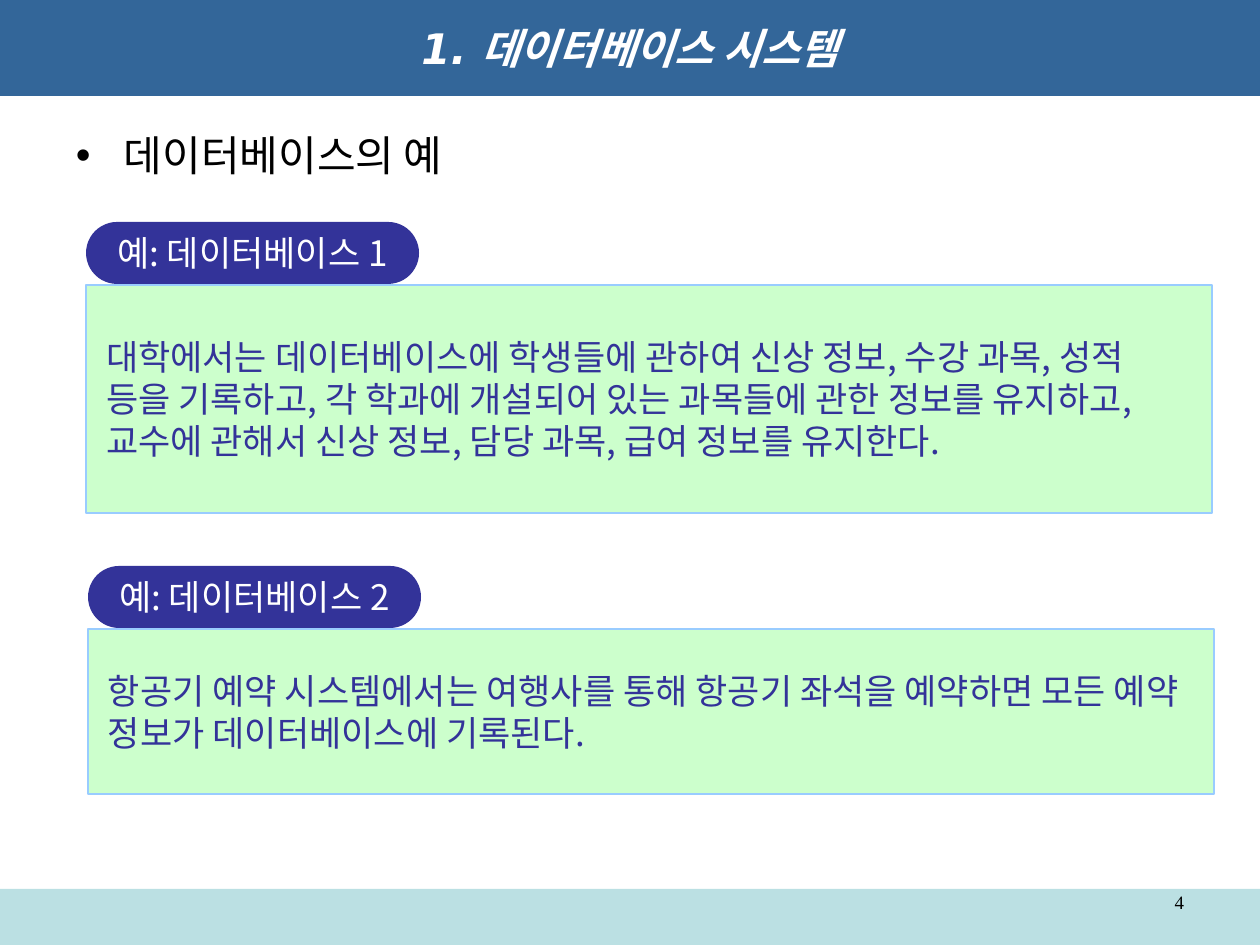
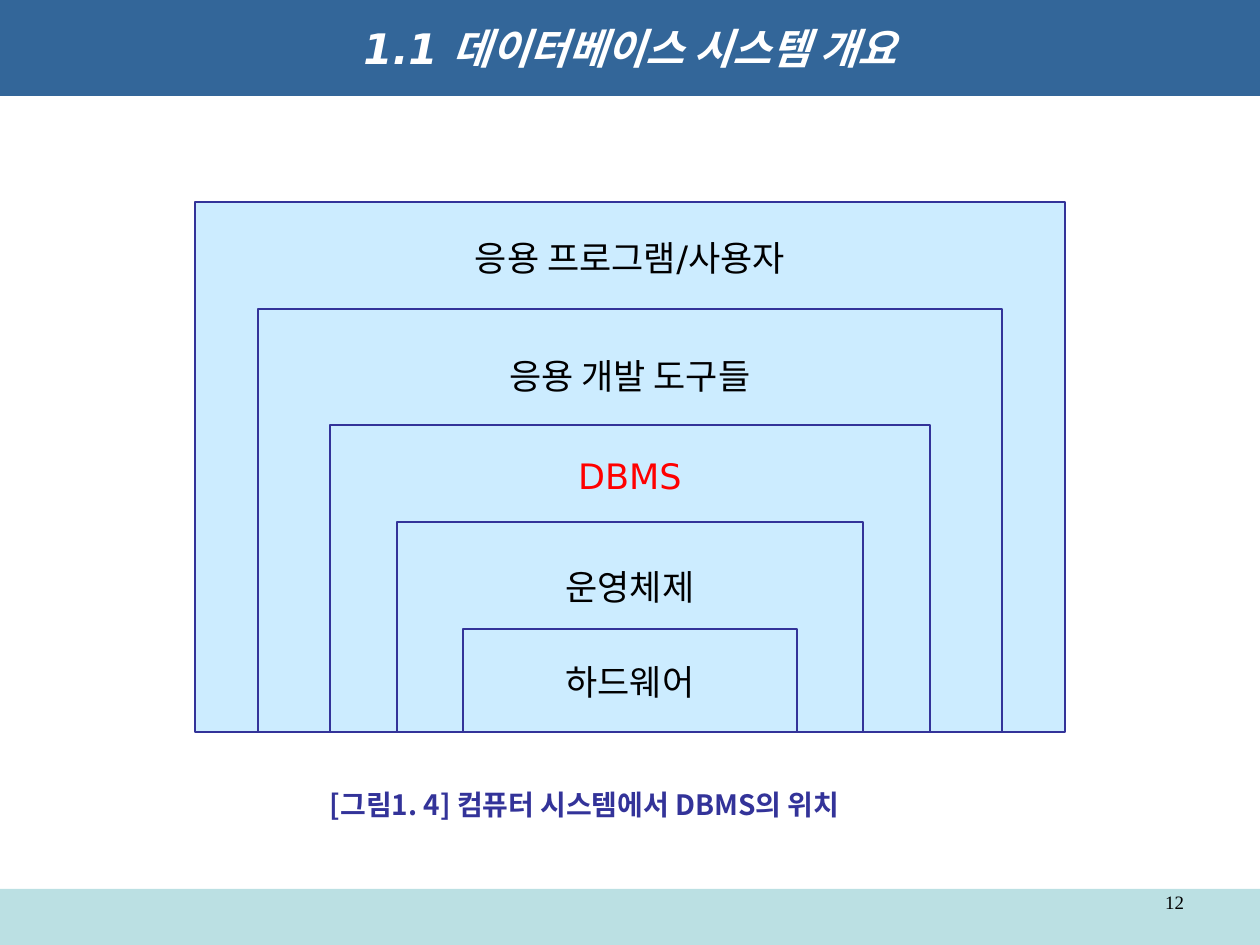
from pptx import Presentation
from pptx import util as u
from pptx.dml.color import RGBColor
from pptx.enum import shapes, text
from pptx.oxml.ns import qn
from lxml import etree

PX = 914400 / 126
SLIDE_W, SLIDE_H = 1260, 945
KOREAN = "Noto Sans CJK KR"
SANS = "DejaVu Sans"
COLORS = {
    "title_band": "336699", "footer_band": "BBE0E3", "navy": "333399",
    "mint": "CCFFCC", "mint_edge": "99CCFF", "layer": "CCECFF",
    "red": "FF0000", "black": "000000", "white": "FFFFFF",
}
ALIGN = text.PP_ALIGN
ANCHOR = text.MSO_ANCHOR
SHAPE = shapes.MSO_SHAPE


def px(n):
    return u.Emu(round(n * PX))


def rgb(name):
    return RGBColor.from_string(COLORS[name])


def add_block(s, kind, box, fill, line=None, line_pt=1):
    """Filled preset shape, with an outline only when a line colour is given."""
    sp = s.shapes.add_shape(kind, *map(px, box))
    sp.shadow.inherit = False
    sp.fill.solid()
    sp.fill.fore_color.rgb = rgb(fill)
    if line:
        sp.line.color.rgb = rgb(line)
        sp.line.width = u.Pt(line_pt)
    else:
        sp.line.fill.background()
    return sp


def add_text_box(s, box):
    return s.shapes.add_textbox(*map(px, box))


def set_text(sp, words, size, color, font=KOREAN, align=ALIGN.LEFT,
             anchor=ANCHOR.MIDDLE, margins=(13, 6, 13, 6), wrap=True,
             spacing=None, bold=False, italic=False):
    """Write one paragraph; margins are left, top, right, bottom in px."""
    tf = sp.text_frame
    tf.word_wrap = wrap
    tf.vertical_anchor = anchor
    tf.margin_left, tf.margin_top, tf.margin_right, tf.margin_bottom = map(px, margins)
    tf.text = words
    p = tf.paragraphs[0]
    p.alignment = align
    if spacing:
        p.line_spacing = spacing
    r = p.runs[0]
    r.font.size = u.Pt(size)
    r.font.name = font
    r.font.bold = bold
    r.font.italic = italic
    r.font.color.rgb = rgb(color)
    # East Asian glyphs use the Korean face
    ea = etree.Element(qn("a:ea"), typeface=KOREAN)
    r.font._element.find(qn("a:latin")).addnext(ea)
    return p


def add_base_slide(prs, title, number):
    """Blank slide with title band, footer band and page number."""
    s = prs.slides.add_slide(prs.slide_layouts[6])
    add_block(s, SHAPE.RECTANGLE, (0, 889, SLIDE_W, 56), "footer_band")
    page = add_text_box(s, (903, 889, 294, 37))
    set_text(page, str(number), 10.8, "black", "Times New Roman", ALIGN.RIGHT,
             ANCHOR.TOP, spacing=0.8)
    band = add_block(s, SHAPE.RECTANGLE, (0, 0, SLIDE_W, 96), "title_band")
    set_text(band, title, 24, "white", SANS, ALIGN.CENTER, bold=True, italic=True)
    return s


def add_bullet(s, words):
    sp = add_text_box(s, (63, 123, 1134, 63))
    p = set_text(sp, words, 24, "black", "Arial", anchor=ANCHOR.TOP,
                 spacing=u.Pt(29))
    pPr = p._p.get_or_add_pPr()
    pPr.set("marL", str(px(48)))
    pPr.set("indent", str(-px(48)))
    etree.SubElement(pPr, qn("a:buFont"), typeface="Arial")
    etree.SubElement(pPr, qn("a:buChar"), char="•")


def add_example(s, left, top, height, label, words):
    """Rounded label sitting on top of a mint panel."""
    panel = add_block(s, SHAPE.RECTANGLE, (left, top + 63, 1126, height),
                      "mint", "mint_edge")
    set_text(panel, words, 20, "navy", margins=(20,) * 4, spacing=u.Pt(24))
    pill = add_block(s, SHAPE.ROUNDED_RECTANGLE, (left, top, 333, 62), "navy")
    pill.adjustments[0] = 0.5
    set_text(pill, label, 20, "white", align=ALIGN.CENTER, wrap=False,
             spacing=u.Pt(24))


def add_layers(s, layers, bottom):
    """Nested boxes centred on the slide that share one bottom edge."""
    center = SLIDE_W // 2
    for left, top, label_y, label, color in layers:
        box = (left, top, 2 * (center - left), bottom - top)
        sp = add_block(s, SHAPE.RECTANGLE, box, "layer", "navy", 1.5)
        set_text(sp, label, 20, color, SANS, ALIGN.CENTER, ANCHOR.TOP,
                 (20, label_y - top - 20, 20, 0), False, u.Pt(24))


def add_caption(s, words):
    sp = add_text_box(s, (317, 782, 706, 47))
    set_text(sp, words, 16, "navy", align=ALIGN.JUSTIFY, anchor=ANCHOR.TOP,
             spacing=u.Pt(19), bold=True)


def main():
    prs = Presentation()
    prs.slide_width, prs.slide_height = px(SLIDE_W), px(SLIDE_H)

    # Database examples
    s = add_base_slide(prs, "1. 데이터베이스 시스템", 4)
    add_bullet(s, "데이터베이스의 예")
    add_example(s, 86, 222, 228, "예: 데이터베이스 1",
                "대학에서는 데이터베이스에 학생들에 관하여 신상 정보, 수강 과목, 성적 "
                "등을 기록하고, 각 학과에 개설되어 있는 과목들에 관한 정보를 유지하고, "
                "교수에 관해서 신상 정보, 담당 과목, 급여 정보를 유지한다.")
    add_example(s, 88, 566, 165, "예: 데이터베이스 2",
                "항공기 예약 시스템에서는 여행사를 통해 항공기 좌석을 예약하면 모든 "
                "예약 정보가 데이터베이스에 기록된다.")

    # Place of the DBMS in a computer system
    s = add_base_slide(prs, "1.1 데이터베이스 시스템 개요", 12)
    add_layers(s, [
        (195, 202, 257, "응용 프로그램/사용자", "black"),
        (258, 309, 374, "응용 개발 도구들", "black"),
        (330, 425, 474, "DBMS", "red"),
        (397, 522, 585, "운영체제", "black"),
        (463, 629, 681, "하드웨어", "black"),
    ], bottom=732)
    add_caption(s, "[그림1. 4] 컴퓨터 시스템에서 DBMS의 위치")

    prs.save("out.pptx")


if __name__ == "__main__":
    main()
